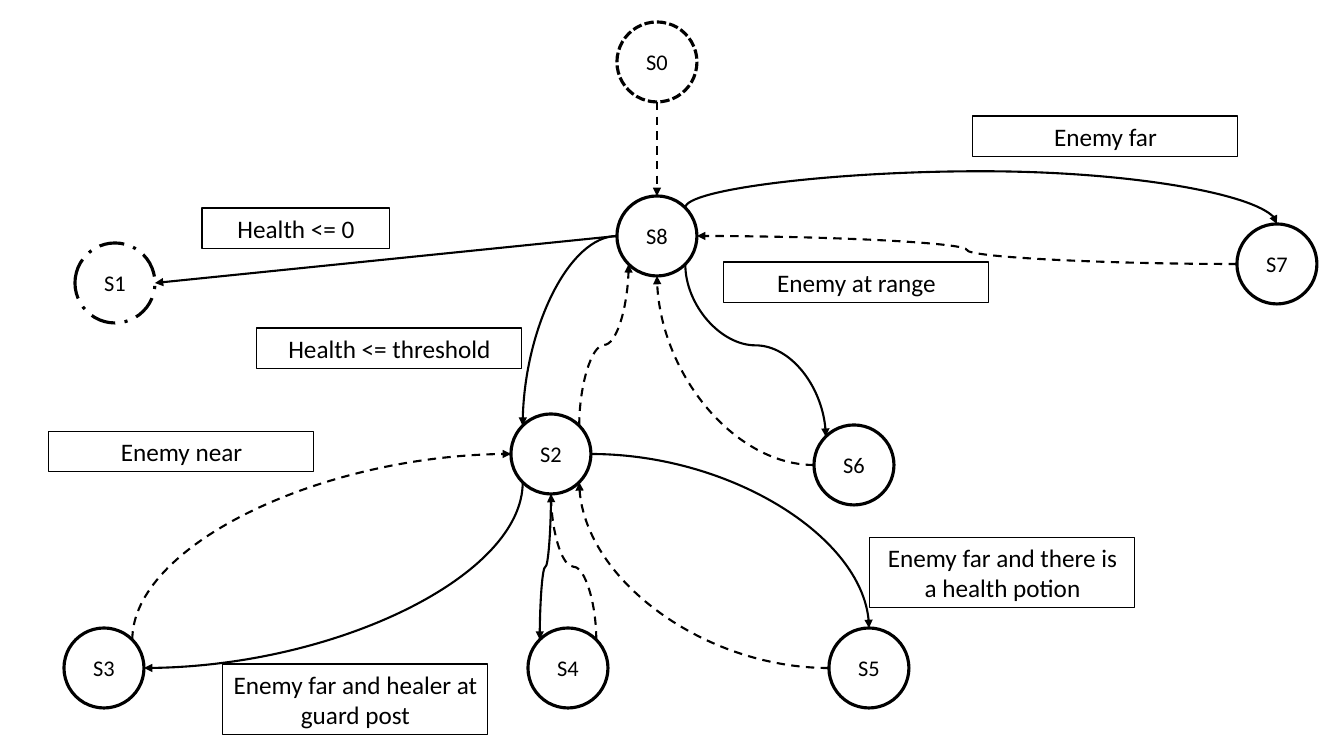
from math import cos, radians, sin

from lxml import etree
from pptx import Presentation
from pptx.dml.color import RGBColor
from pptx.enum.dml import MSO_LINE
from pptx.enum.shapes import MSO_CONNECTOR, MSO_SHAPE
from pptx.enum.text import MSO_ANCHOR, MSO_AUTO_SIZE, PP_ALIGN
from pptx.oxml.ns import qn
from pptx.util import Pt

STRAIGHT, CURVE = MSO_CONNECTOR.STRAIGHT, MSO_CONNECTOR.CURVE
CIRCLE = MSO_SHAPE.FLOWCHART_CONNECTOR
CENTER, TOP, MIDDLE = PP_ALIGN.CENTER, MSO_ANCHOR.TOP, MSO_ANCHOR.MIDDLE
SOLID, DASH = MSO_LINE.SOLID, MSO_LINE.DASH
START_DASH, END_DASH = MSO_LINE.SQUARE_DOT, MSO_LINE.LONG_DASH_DOT

PX = 914400 / 100.8
COLORS = {"ink": "000000", "paper": "FFFFFF"}
FONT = "Calibri"
DIAMETER = 80
LABEL_HEIGHT = {1: 41, 2: 71}

# state: centre x, centre y, outline
STATES = {
    "S0": (657, 62, START_DASH),
    "S8": (657, 236, SOLID),
    "S1": (115, 283, END_DASH),
    "S2": (551, 454, SOLID),
    "S3": (104, 668, SOLID),
    "S6": (854, 465, SOLID),
    "S7": (1277, 264, SOLID),
    "S4": (568, 668, SOLID),
    "S5": (869, 668, SOLID),
}

# Connection sites run counter-clockwise from the top, 45 degrees apart
SITES = ["top", "top left", "left", "bottom left",
         "bottom", "bottom right", "right", "top right"]

# from state, site, to state, site, dash, kind, bend (share of the first leg)
TRANSITIONS = [
    ("S0", "bottom", "S8", "top", DASH, STRAIGHT, None),
    ("S8", "left", "S1", "right", SOLID, STRAIGHT, None),
    ("S6", "left", "S8", "bottom", DASH, CURVE, None),
    ("S8", "bottom right", "S6", "top left", SOLID, CURVE, 0.47),
    ("S8", "top right", "S7", "top", SOLID, CURVE, -2.24),
    ("S7", "left", "S8", "right", DASH, CURVE, 0.5),
    ("S8", "left", "S2", "top left", SOLID, CURVE, None),
    ("S2", "top right", "S8", "bottom left", DASH, CURVE, 0.5),
    ("S2", "bottom left", "S3", "right", SOLID, CURVE, None),
    ("S3", "top right", "S2", "left", DASH, CURVE, None),
    ("S2", "bottom", "S4", "top left", SOLID, CURVE, 0.5),
    ("S4", "top right", "S2", "bottom", DASH, CURVE, 0.5),
    ("S2", "right", "S5", "top", SOLID, CURVE, None),
    ("S5", "left", "S2", "bottom right", DASH, CURVE, None),
]

# condition: left, top, width, text lines
CONDITIONS = {
    "Health <= 0": (202, 208, 188, 1),
    "Health <= threshold": (257, 328, 265, 1),
    "Enemy near": (49, 431, 265, 1),
    "Enemy far and healer at guard post": (223, 664, 265, 2),
    "Enemy at range": (724, 262, 265, 1),
    "Enemy far and there is a health potion": (870, 537, 265, 2),
    "Enemy far": (973, 116, 265, 1),
}


def emu(pixels):
    """Turn pixels into EMU."""
    return round(pixels * PX)


def set_line(line, width, dash=SOLID):
    """Give a line the ink colour, a width in points and a dash."""
    line.color.rgb = RGBColor.from_string(COLORS["ink"])
    line.width = Pt(width)
    line.dash_style = dash


def write(shape, text, size, anchor=TOP, align=CENTER, color="ink"):
    """Put formatted text in a shape."""
    frame = shape.text_frame
    frame.word_wrap = True
    frame.vertical_anchor = anchor
    paragraph = frame.paragraphs[0]
    paragraph.alignment = align
    run = paragraph.add_run()
    run.text = text
    run.font.name = FONT
    run.font.size = Pt(size)
    run.font.color.rgb = RGBColor.from_string(COLORS[color])


def add_state(slide, name, x, y, dash):
    """Draw one state as a circle around its centre."""
    corner = (emu(x - DIAMETER / 2), emu(y - DIAMETER / 2))
    circle = slide.shapes.add_shape(CIRCLE, *corner, emu(DIAMETER), emu(DIAMETER))
    circle.shadow.inherit = False
    circle.fill.solid()
    circle.fill.fore_color.rgb = RGBColor.from_string(COLORS["paper"])
    set_line(circle.line, 2.25, dash)
    write(circle, name, 16, anchor=MIDDLE)
    return circle


def add_condition(slide, text, left, top, width, lines):
    """Draw one framed transition condition."""
    box = slide.shapes.add_textbox(
        emu(left), emu(top), emu(width), emu(LABEL_HEIGHT[lines]))
    set_line(box.line, 0.75)
    write(box, text, 18)
    box.text_frame.auto_size = MSO_AUTO_SIZE.SHAPE_TO_FIT_TEXT


def site_point(state, site):
    """Find where a connection site lies on the circle of a state."""
    x, y, _ = STATES[state]
    angle = radians(45 * SITES.index(site))
    return x - DIAMETER / 2 * sin(angle), y - DIAMETER / 2 * cos(angle)


def bend_curve(connector, start, end, vertical, bend):
    """Turn a curve so that it leaves its start along the right axis."""
    dx, dy = end[0] - start[0], end[1] - start[1]
    if vertical:
        rotation = 270 if dx * dy > 0 else 90
    else:
        rotation = 180 if dx < 0 else 0
    along, across = {0: (dx, dy), 90: (dy, -dx),
                     180: (-dx, -dy), 270: (-dy, dx)}[rotation]
    width, height = abs(along), abs(across)
    connector.left = emu((start[0] + end[0] - width) / 2)
    connector.top = emu((start[1] + end[1] - height) / 2)
    connector.width, connector.height = emu(width), emu(height)
    properties = connector._element.spPr
    frame = properties.find(qn("a:xfrm"))
    frame.set("rot", str(rotation * 60000))
    frame.set("flipH", str(int(along < 0)))
    frame.set("flipV", str(int(across < 0)))
    geometry = properties.find(qn("a:prstGeom"))
    if bend is None:
        geometry.set("prst", "curvedConnector2")
    else:
        guides = geometry.find(qn("a:avLst"))
        etree.SubElement(guides, qn("a:gd"), name="adj1",
                         fmla=f"val {round(bend * 100000)}")


def add_transition(slide, circles, source, exit_site, target, entry_site,
                   dash, kind, bend):
    """Draw one arrow glued to the sites of two states."""
    start, end = site_point(source, exit_site), site_point(target, entry_site)
    connector = slide.shapes.add_connector(kind, *map(emu, start + end))
    if kind == CURVE:
        vertical = exit_site not in ("left", "right")
        bend_curve(connector, start, end, vertical, bend)
    set_line(connector.line, 1.5, dash)
    properties = connector._element.spPr
    etree.SubElement(properties.find(qn("a:ln")), qn("a:tailEnd"), type="triangle")
    etree.SubElement(properties, qn("a:effectLst"))
    glue = connector._element.nvCxnSpPr.cNvCxnSpPr
    for tag, state, site in (("a:stCxn", source, exit_site),
                             ("a:endCxn", target, entry_site)):
        etree.SubElement(glue, qn(tag), id=str(circles[state].shape_id),
                         idx=str(SITES.index(site)))


def main():
    """Build the state machine slide."""
    deck = Presentation()
    deck.slide_width, deck.slide_height = emu(1344), emu(756)
    slide = deck.slides.add_slide(deck.slide_layouts[6])
    circles = {name: add_state(slide, name, *place)
               for name, place in STATES.items()}
    for transition in TRANSITIONS:
        add_transition(slide, circles, *transition)
    for text, place in CONDITIONS.items():
        add_condition(slide, text, *place)
    deck.save("out.pptx")


main()
